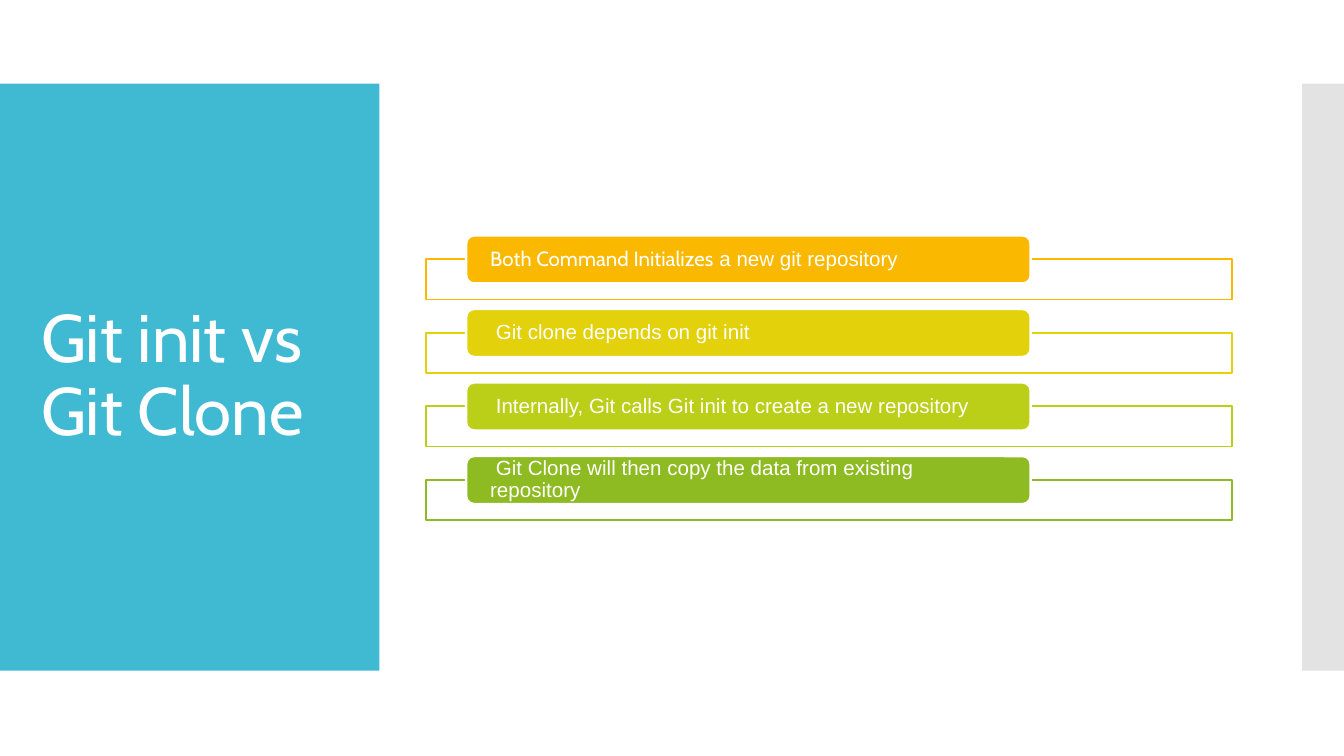
from dataclasses import dataclass

from pptx import Presentation
from pptx.dml.color import RGBColor
from pptx.enum.shapes import MSO_SHAPE as Preset
from pptx.enum.text import MSO_ANCHOR as Anchor, PP_ALIGN as Align
from pptx.shapes.autoshape import Shape
from pptx.slide import Slide
from pptx.util import Cm, Pt

COLOURS = {
    "white": "FFFFFF",
    "teal": "40BAD2",
    "grey": "E3E3E3",
    "amber": "FAB900",
    "yellow": "E3D10C",
    "lime": "BBCE18",
    "green": "8EBA22",
}
BODY_FONT = "Arial"
HEADING_FONT = "Cabin"
FIRST_TOP = 4.45
ROW_PITCH = 1.39


@dataclass(frozen=True)
class Area:
    left: float
    top: float
    width: float
    height: float

    def lengths(self) -> tuple[Cm, Cm, Cm, Cm]:
        return Cm(self.left), Cm(self.top), Cm(self.width), Cm(self.height)


@dataclass(frozen=True)
class Span:
    text: str
    font: str = BODY_FONT


@dataclass(frozen=True)
class Point:
    colour: str
    spans: tuple[Span, ...]


POINTS = (
    Point("amber", (Span("Both Command Initializes", HEADING_FONT), Span(" a new git repository"))),
    Point("yellow", (Span(" Git clone depends on git init"),)),
    Point("lime", (Span(" Internally, Git calls Git init to create a new repository"),)),
    Point("green", (Span(" Git Clone will then copy the data from existing repository"),)),
)


def rgb(name: str) -> RGBColor:
    return RGBColor.from_string(COLOURS[name])


def draw_box(page: Slide, preset: Preset, area: Area, fill: str,
             line: str | None = None, line_width: float = 0) -> Shape:
    box = page.shapes.add_shape(preset, *area.lengths())
    box.shadow.inherit = False
    box.fill.solid()
    box.fill.fore_color.rgb = rgb(fill)
    if line:
        box.line.color.rgb = rgb(line)
        box.line.width = Pt(line_width)
    else:
        box.line.fill.background()
    return box


def write_text(box: Shape, spans: tuple[Span, ...], size: float,
               side_inset: float, end_inset: float) -> None:
    frame = box.text_frame
    frame.word_wrap = True
    frame.vertical_anchor = Anchor.MIDDLE
    frame.margin_left = frame.margin_right = Cm(side_inset)
    frame.margin_top = frame.margin_bottom = Cm(end_inset)
    para = frame.paragraphs[0]
    para.alignment = Align.LEFT
    para.line_spacing = 0.9
    for span in spans:
        run = para.add_run()
        run.text = span.text
        run.font.name = span.font
        run.font.size = Pt(size)
        run.font.color.rgb = rgb("white")


def draw_point(page: Slide, point: Point, top: float) -> None:
    draw_box(page, Preset.RECTANGLE, Area(8.05, top + 0.45, 15.24, 0.76),
             "white", point.colour, 0.85)
    label = draw_box(page, Preset.ROUNDED_RECTANGLE, Area(8.81, top, 10.67, 0.91),
                     point.colour, "white", 1.35)
    label.adjustments[0] = 0.167
    write_text(label, point.spans, 11, 0.41, 0)


def main() -> None:
    deck = Presentation()
    deck.slide_width, deck.slide_height = Cm(25.4), Cm(14.29)
    page = deck.slides.add_slide(deck.slide_layouts[6])

    draw_box(page, Preset.RECTANGLE, Area(24.61, 1.58, 0.79, 11.1), "grey")
    draw_box(page, Preset.RECTANGLE, Area(0, 1.58, 7.17, 11.1), "teal")
    title = page.shapes.add_textbox(*Area(0.53, 2.34, 6.15, 9.58).lengths())
    write_text(title, (Span("Git init vs Git Clone", HEADING_FONT),), 36, 0.25, 0.13)

    for row, point in enumerate(POINTS):
        draw_point(page, point, FIRST_TOP + row * ROW_PITCH)

    deck.save("out.pptx")


if __name__ == "__main__":
    main()
